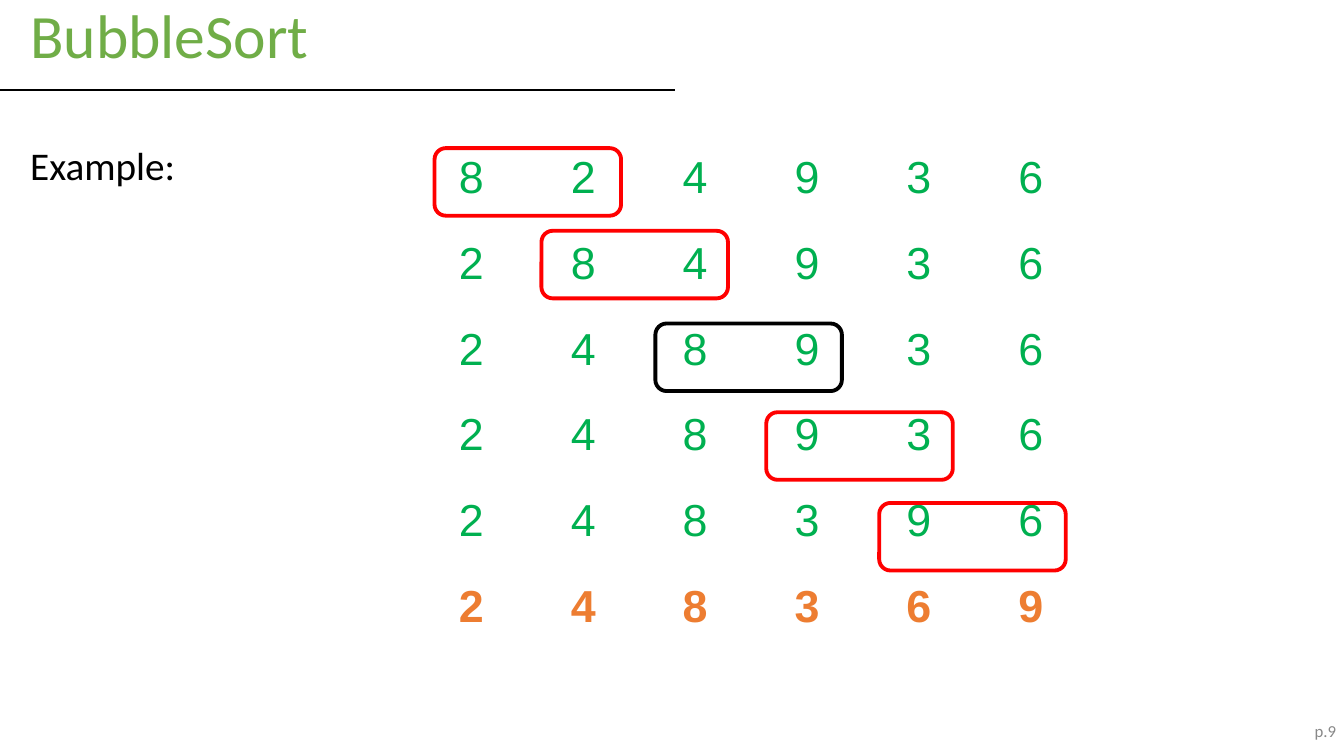
from dataclasses import dataclass

from pptx import Presentation
from pptx import util as u
from pptx.dml.color import RGBColor
from pptx.enum import shapes, text
from pptx.oxml.ns import qn
from pptx.slide import Slide
from pptx.text.text import TextFrame

EMU_PER_PX = 9144


@dataclass(frozen=True)
class Theme:
    black: str = "000000"
    heading: str = "70AD47"
    digit: str = "00B050"
    result: str = "ED7D31"
    swap: str = "FF0000"
    muted: str = "888888"
    body_font: str = "Calibri"
    digit_font: str = "Arial"
    heading_size: int = 44
    digit_size: int = 32
    label_size: int = 28
    page_size: int = 12
    rule_width: float = 1.5
    frame_width: float = 2.75


@dataclass(frozen=True)
class Style:
    font: str
    size: int
    color: str
    bold: bool = False
    align: text.PP_ALIGN = text.PP_ALIGN.LEFT
    spacing: float = 1.0


@dataclass(frozen=True)
class Box:
    left: int
    top: int
    width: int
    height: int

    def emu(self) -> tuple[u.Emu, ...]:
        return tuple(px(n) for n in (self.left, self.top, self.width, self.height))


@dataclass(frozen=True)
class Comparison:
    frame: Box
    swapped: bool


THEME = Theme()
HEADING = Style(THEME.body_font, THEME.heading_size, THEME.heading, spacing=0.9)
LABEL = Style(THEME.body_font, THEME.label_size, THEME.black, spacing=0.9)
PAGE = Style(THEME.body_font, THEME.page_size, THEME.muted, align=text.PP_ALIGN.RIGHT)
DIGIT = Style(THEME.digit_font, THEME.digit_size, THEME.digit, align=text.PP_ALIGN.CENTER)
RESULT = Style(THEME.digit_font, THEME.digit_size, THEME.result, True, text.PP_ALIGN.CENTER)

UNSORTED = [8, 2, 4, 9, 3, 6]
FRAME_CORNERS = [(431, 147), (537, 229), (650, 321), (760, 409), (872, 499)]
FRAME_WIDTH, FRAME_HEIGHT = 185, 67
COLUMN_WIDTH, ROW_HEIGHT = 111, 85


def px(n: int) -> u.Emu:
    return u.Emu(n * EMU_PER_PX)


def rgb(color: str) -> RGBColor:
    return RGBColor.from_string(color)


def write(frame: TextFrame, words: str, style: Style) -> None:
    paragraph = frame.paragraphs[0]
    paragraph.alignment = style.align
    paragraph.line_spacing = style.spacing
    run = paragraph.add_run()
    run.text = words
    run.font.name = style.font
    run.font.size = u.Pt(style.size)
    run.font.bold = style.bold
    run.font.color.rgb = rgb(style.color)


def set_frame(frame: TextFrame, left: int, anchor: text.MSO_ANCHOR) -> None:
    frame.word_wrap = True
    frame.auto_size = text.MSO_AUTO_SIZE.NONE
    frame.vertical_anchor = anchor
    frame.margin_left, frame.margin_right = px(left), px(10)
    frame.margin_top = frame.margin_bottom = px(5)


def add_heading(slide: Slide, words: str, box: Box) -> None:
    heading = slide.shapes.title
    heading.left, heading.top, heading.width, heading.height = box.emu()
    set_frame(heading.text_frame, 30, text.MSO_ANCHOR.TOP)
    write(heading.text_frame, words, HEADING)


def add_words(slide: Slide, words: str, box: Box, style: Style, left: int,
              anchor: text.MSO_ANCHOR) -> None:
    frame = slide.shapes.add_textbox(*box.emu()).text_frame
    set_frame(frame, left, anchor)
    write(frame, words, style)


def add_rule(slide: Slide, width: int, y: int) -> None:
    rule = slide.shapes.add_connector(
        shapes.MSO_CONNECTOR.STRAIGHT, px(0), px(y), px(width), px(y))
    rule.line.color.rgb = rgb(THEME.black)
    rule.line.width = u.Pt(THEME.rule_width)
    properties = rule.element.spPr
    properties.append(properties.makeelement(qn("a:effectLst"), {}))


def bubble_pass(numbers: list[int]) -> tuple[list[list[int]], list[Comparison]]:
    states, comparisons = [list(numbers)], []
    for i, (left, top) in enumerate(FRAME_CORNERS):
        state = list(states[-1])
        swapped = state[i] > state[i + 1]
        if swapped:
            state[i], state[i + 1] = state[i + 1], state[i]
        states.append(state)
        comparisons.append(Comparison(Box(left, top, FRAME_WIDTH, FRAME_HEIGHT), swapped))
    return states, comparisons


def add_states(slide: Slide, states: list[list[int]], left: int, top: int) -> None:
    rows, columns = len(states), len(states[0])
    box = Box(left, top, columns * COLUMN_WIDTH, rows * ROW_HEIGHT)
    grid = slide.shapes.add_table(rows, columns, *box.emu()).table
    grid.first_row = grid.horz_banding = False
    for r, state in enumerate(states):
        style = RESULT if r == rows - 1 else DIGIT
        for c, number in enumerate(state):
            cell = grid.cell(r, c)
            cell.fill.background()
            cell.margin_left = cell.margin_right = px(10)
            cell.margin_top, cell.margin_bottom = px(29), px(5)
            write(cell.text_frame, str(number), style)


def add_comparison(slide: Slide, comparison: Comparison) -> None:
    outline = slide.shapes.add_shape(
        shapes.MSO_SHAPE.ROUNDED_RECTANGLE, *comparison.frame.emu())
    outline.shadow.inherit = False
    outline.fill.background()
    outline.line.color.rgb = rgb(THEME.swap if comparison.swapped else THEME.black)
    outline.line.width = u.Pt(THEME.frame_width)


def main() -> None:
    deck = Presentation()
    deck.slide_width, deck.slide_height = px(1333), px(750)
    slide = deck.slides.add_slide(deck.slide_layouts.get_by_name("Title Only"))
    add_rule(slide, 669, 89)
    add_heading(slide, "BubbleSort", Box(0, 0, 1333, 100))
    add_words(slide, "Example:", Box(0, 141, 400, 60), LABEL, 30, text.MSO_ANCHOR.TOP)
    states, comparisons = bubble_pass(UNSORTED)
    add_states(slide, states, 412, 123)
    for comparison in comparisons:
        add_comparison(slide, comparison)
    add_words(slide, "p.9", Box(1057, 700, 278, 50), PAGE, 10, text.MSO_ANCHOR.MIDDLE)
    deck.save("out.pptx")


if __name__ == "__main__":
    main()
